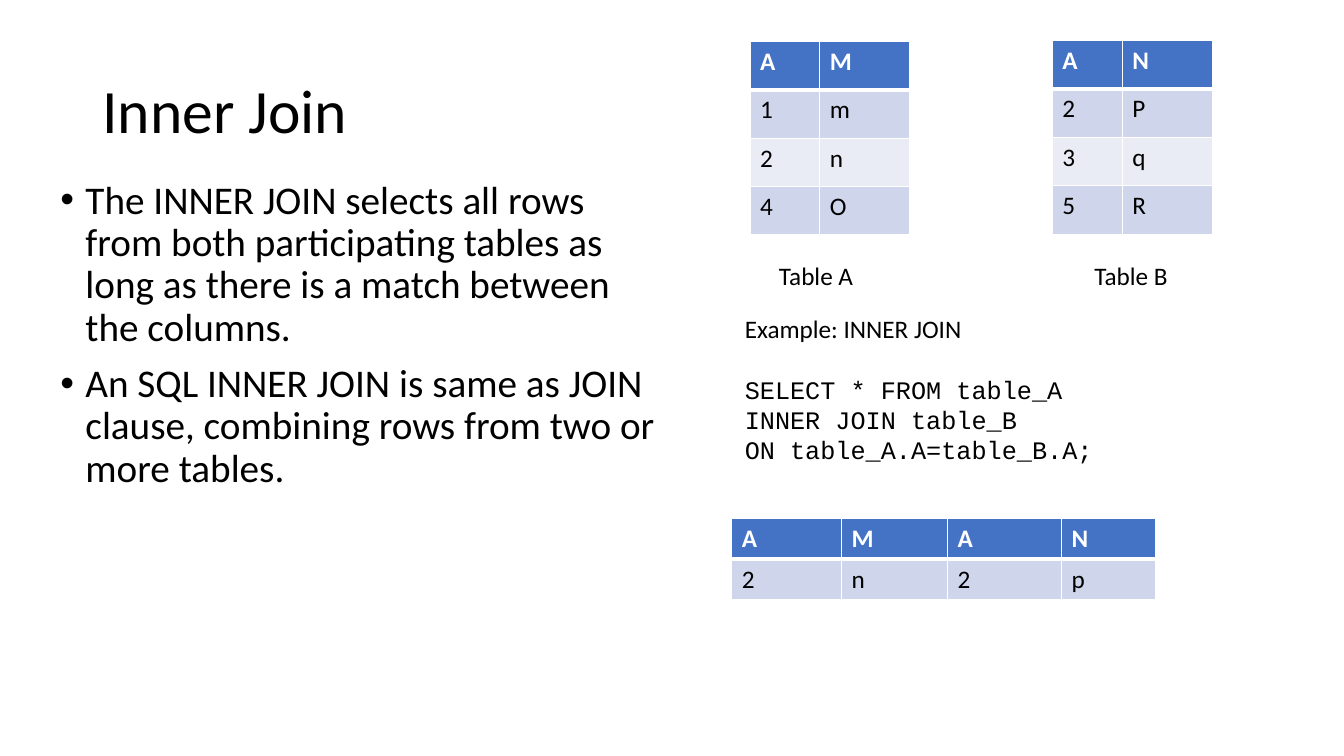
import pptx
import pptx.util
import pptx.dml.color
import pptx.enum.text
import pptx.oxml
import pptx.oxml.ns

Cm, Pt = pptx.util.Cm, pptx.util.Pt

# Content: places and sizes in cm
COLORS = {"ink": "000000", "white": "FFFFFF", "head": "4472C4",
          "odd": "CFD5EA", "even": "E9EBF5"}
TITLE = "Inner Join"
POINTS = [
    "The INNER JOIN selects all rows from both participating tables "
    "as long as there is a match between the columns.",
    "An SQL INNER JOIN is same as JOIN clause, combining rows from "
    "two or more tables.",
]
LEAD = "Example: INNER JOIN"
QUERY = ["SELECT * FROM table_A", "INNER JOIN table_B",
         "ON table_A.A=table_B.A;"]
PAIR = (1.76, 2.27)
TABLES = [  # left, top, column widths, row height, rows
    (18.9, 1.04, PAIR, 1.22, ["AM", "1m", "2n", "4O"]),
    (26.52, 1.02, PAIR, 1.22, ["AN", "2P", "3q", "5R"]),
    (18.44, 13.06, (2.77, 2.67, 2.87, 2.36), 1.03, ["AMAN", "2n2p"]),
]
LABELS = [("Table A", 19.38), ("Table B", 27.33)]


def style(para, size, color="ink", font="Calibri", bold=False):
    para.font.size = Pt(size)
    para.font.name = font
    para.font.bold = bold
    para.font.color.rgb = pptx.dml.color.RGBColor.from_string(COLORS[color])


def add_text(slide, box, lines, size, wrap=True):
    frame = slide.shapes.add_textbox(*map(Cm, box)).text_frame
    frame.word_wrap = wrap
    frame.text = "\n".join(lines)
    for para in frame.paragraphs:
        style(para, size)
    return frame


def add_bullet(para):
    props = para._p.get_or_add_pPr()
    props.set("marL", str(Cm(0.635)))
    props.set("indent", str(-Cm(0.635)))
    space = pptx.oxml.ns.nsdecls("a")
    for xml in (f'<a:buFont {space} typeface="Arial"/>',
                f'<a:buChar {space} char="•"/>'):
        # Bullets go before the default run properties
        props.find(pptx.oxml.ns.qn("a:defRPr")).addprevious(
            pptx.oxml.parse_xml(xml))


def add_edges(cell, widths):
    props = cell._tc.get_or_add_tcPr()
    space = pptx.oxml.ns.nsdecls("a")
    for place, (side, width) in enumerate(zip("LRTB", widths)):
        props.insert(place, pptx.oxml.parse_xml(
            f'<a:ln{side} {space} w="{Pt(width)}"><a:solidFill>'
            f'<a:srgbClr val="{COLORS["white"]}"/></a:solidFill></a:ln{side}>'))


def add_grid(slide, left, top, widths, height, rows):
    table = slide.shapes.add_table(
        len(rows), len(widths), Cm(left), Cm(top),
        Cm(sum(widths)), Cm(height * len(rows))).table
    for col, width in zip(table.columns, widths):
        col.width = Cm(width)
    for r, row in enumerate(rows):
        table.rows[r].height = Cm(height)
        fill = "head" if r == 0 else "odd" if r % 2 else "even"
        for c, text in enumerate(row):
            cell = table.cell(r, c)
            cell.text = text
            cell.fill.solid()
            cell.fill.fore_color.rgb = pptx.dml.color.RGBColor.from_string(
                COLORS[fill])
            style(cell.text_frame.paragraphs[0], 18,
                  "ink" if r else "white", bold=r == 0)
            add_edges(cell, (1, 1, 3 if r == 1 else 1, 1 if r else 3))


def main():
    deck = pptx.Presentation()
    deck.slide_width, deck.slide_height = Cm(33.87), Cm(19.05)
    slide = deck.slides.add_slide(deck.slide_layouts[6])

    # Title
    frame = add_text(slide, (2.33, 1.01, 29.21, 3.68), [TITLE], 44)
    frame.vertical_anchor = pptx.enum.text.MSO_ANCHOR.MIDDLE
    frame.paragraphs[0].line_spacing = 0.9

    # Bullet points
    frame = add_text(slide, (1.27, 4.42, 15.65, 12.09), POINTS, 28)
    for para in frame.paragraphs:
        para.line_spacing = 0.9
        para.space_before = Pt(10)
        add_bullet(para)

    # Example query
    frame = add_text(slide, (18.52, 7.77, 14.07, 4.11), [LEAD] + QUERY, 18)
    for para in frame.paragraphs[1:]:
        style(para, 18, font="Courier New")
    frame.paragraphs[1].space_before = Pt(22)

    # Tables and their labels
    for grid in TABLES:
        add_grid(slide, *grid)
    for text, left in LABELS:
        add_text(slide, (left, 6.43, 2.4, 1.03), [text], 18, wrap=False)

    deck.save("out.pptx")


if __name__ == "__main__":
    main()
